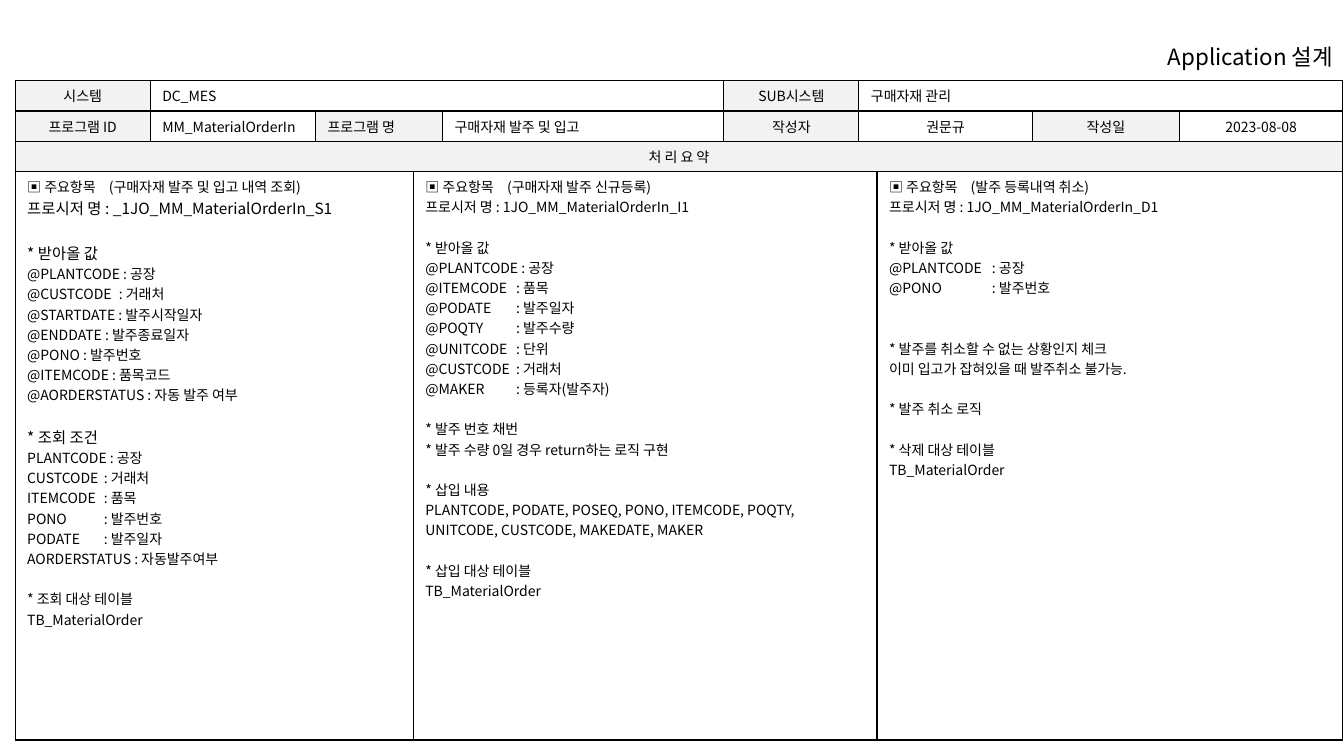
from lxml import etree
from pptx import Presentation
from pptx.dml.color import RGBColor
from pptx.enum.text import MSO_ANCHOR, MSO_AUTO_SIZE, PP_ALIGN
from pptx.oxml.ns import qn
from pptx.util import Inches, Pt

FONT = "Noto Sans CJK KR"
BLACK, GREY, WHITE = "000000", "F2F2F2", "FFFFFF"
BLANK_LINE = 14.5  # points


def color(value):
    return RGBColor.from_string(value)


def write(para, text, size, align=PP_ALIGN.LEFT, stop=None, before=0):
    para.alignment = align
    para.space_before = Pt(before)
    span = para.add_run()
    span.text = text
    for name, value in {"size": Pt(size), "name": FONT, "bold": False}.items():
        setattr(span.font, name, value)
    span.font.color.rgb = color(BLACK)
    east_asian = etree.SubElement(span.font._element, qn("a:ea"))
    east_asian.set("typeface", FONT)
    if stop:
        tabs = etree.SubElement(para._p.get_or_add_pPr(), qn("a:tabLst"))
        etree.SubElement(tabs, qn("a:tab"), pos=str(Inches(stop)), algn="l")


deck = Presentation()
deck.slide_width, deck.slide_height = Inches(13.33), Inches(7.5)
page = deck.slides.add_slide(deck.slide_layouts[5])

# Title
title = page.shapes.title
for name, value in {"left": 10.35, "top": 0.4, "width": 2.97, "height": 0.33}.items():
    setattr(title, name, Inches(value))
frame = title.text_frame
for name, value in {"auto_size": MSO_AUTO_SIZE.NONE, "word_wrap": True,
                    "vertical_anchor": MSO_ANCHOR.MIDDLE}.items():
    setattr(frame, name, value)
write(frame.paragraphs[0], "Application 설계", 16, PP_ALIGN.RIGHT)

# Table grid
widths = [1.34, 1.64, 0.97, 0.29, 2.79, 1.34, 0.18, 1.54, 1.46, 1.62]
heights = [0.3, 0.3, 0.3, 5.64]
table = page.shapes.add_table(
    len(heights), len(widths), Inches(0.15), Inches(0.8),
    Inches(sum(widths)), Inches(sum(heights))).table
table.first_row = table.horz_banding = False
for column, width in zip(table.columns, widths):
    column.width = Inches(width)
for row, height in zip(table.rows, heights):
    row.height = Inches(height)

# Cell borders, fills and margins
for cell in table.iter_cells():
    properties = cell._tc.get_or_add_tcPr()
    for side in ("lnL", "lnR", "lnT", "lnB"):
        line = etree.SubElement(properties, qn(f"a:{side}"), w=str(Pt(1)))
        paint = etree.SubElement(line, qn("a:solidFill"))
        etree.SubElement(paint, qn("a:srgbClr"), val=BLACK)
    cell.fill.solid()
    cell.fill.fore_color.rgb = color(WHITE)
    for name, value in {"margin_left": 0.12, "margin_right": 0.12,
                        "margin_top": 0.05, "margin_bottom": 0.05}.items():
        setattr(cell, name, Inches(value))

# Header cells: row, column, columns spanned, text, shaded, alignment
LEFT, CENTER = PP_ALIGN.LEFT, PP_ALIGN.CENTER
headers = [
    (0, 0, 1, "시스템", True, CENTER),
    (0, 1, 4, "DC_MES", False, LEFT),
    (0, 5, 1, "SUB시스템", True, CENTER),
    (0, 6, 4, "구매자재 관리", False, LEFT),
    (1, 0, 1, "프로그램 ID", True, CENTER),
    (1, 1, 1, "MM_MaterialOrderIn", False, LEFT),
    (1, 2, 2, "프로그램 명", True, LEFT),
    (1, 4, 1, "구매자재 발주 및 입고", False, LEFT),
    (1, 5, 1, "작성자", True, CENTER),
    (1, 6, 2, "권문규", False, CENTER),
    (1, 8, 1, "작성일", True, CENTER),
    (1, 9, 1, "2023-08-08", False, CENTER),
    (2, 0, 10, "처 리 요 약", True, CENTER),
]
for row, column, count, text, shaded, align in headers:
    cell = table.cell(row, column)
    if count > 1:
        cell.merge(table.cell(row, column + count - 1))
    if shaded:
        cell.fill.fore_color.rgb = color(GREY)
    write(cell.text_frame.paragraphs[0], text, 10, align)

# Summary columns: column, columns spanned, heading size, sections
# Section: blank lines above, tab stop, heading, further lines
summaries = [
    (0, 3, 11, [
        (0, 0.81, "▣ 주요항목\t(구매자재 발주 및 입고 내역 조회)", []),
        (0, None, "프로시저 명 : _1JO_MM_MaterialOrderIn_S1", []),
        (1.1, 0.91, "* 받아올 값", [
            "@PLANTCODE : 공장", "@CUSTCODE\t: 거래처", "@STARTDATE : 발주시작일자",
            "@ENDDATE : 발주종료일자", "@PONO : 발주번호", "@ITEMCODE : 품목코드",
            "@AORDERSTATUS : 자동 발주 여부"]),
        (1, 0.76, "* 조회 조건", [
            "PLANTCODE : 공장", "CUSTCODE\t: 거래처", "ITEMCODE\t: 품목",
            "PONO\t: 발주번호", "PODATE\t: 발주일자", "AORDERSTATUS : 자동발주여부"]),
        (1, None, "* 조회 대상 테이블", ["TB_MaterialOrder"]),
    ]),
    (3, 4, 10, [
        (0, 0.81, "▣ 주요항목\t(구매자재 발주 신규등록)", []),
        (0, None, "프로시저 명 : 1JO_MM_MaterialOrderIn_I1", []),
        (1, 0.9, "* 받아올 값", [
            "@PLANTCODE : 공장", "@ITEMCODE\t: 품목", "@PODATE\t: 발주일자",
            "@POQTY\t: 발주수량", "@UNITCODE\t: 단위", "@CUSTCODE\t: 거래처",
            "@MAKER\t: 등록자(발주자)"]),
        (1, None, "* 발주 번호 채번", ["* 발주 수량 0일 경우 return하는 로직 구현"]),
        (1, None, "* 삽입 내용", [
            "PLANTCODE, PODATE, POSEQ, PONO, ITEMCODE, POQTY, "
            "UNITCODE, CUSTCODE, MAKEDATE, MAKER"]),
        (1, None, "* 삽입 대상 테이블", ["TB_MaterialOrder"]),
    ]),
    (7, 3, 10, [
        (0, 0.81, "▣ 주요항목\t(발주 등록내역 취소)", []),
        (0, None, "프로시저 명 : 1JO_MM_MaterialOrderIn_D1", []),
        (1, 1.02, "* 받아올 값", ["@PLANTCODE\t: 공장", "@PONO\t: 발주번호"]),
        (2, None, "* 발주를 취소할 수 없는 상황인지 체크",
         ["이미 입고가 잡혀있을 때 발주취소 불가능."]),
        (1, None, "* 발주 취소 로직", []),
        (1, None, "* 삭제 대상 테이블", ["TB_MaterialOrder"]),
    ]),
]
for column, count, heading_size, sections in summaries:
    cell = table.cell(3, column)
    cell.merge(table.cell(3, column + count - 1))
    frame = cell.text_frame
    for number, (blanks, stop, heading, lines) in enumerate(sections):
        para = frame.add_paragraph() if number else frame.paragraphs[0]
        edge = number in (0, len(sections) - 1)
        write(para, heading, 10 if edge else heading_size, LEFT, stop, blanks * BLANK_LINE)
        for text in lines:
            write(frame.add_paragraph(), text, 10, LEFT, stop)

deck.save("out.pptx")
